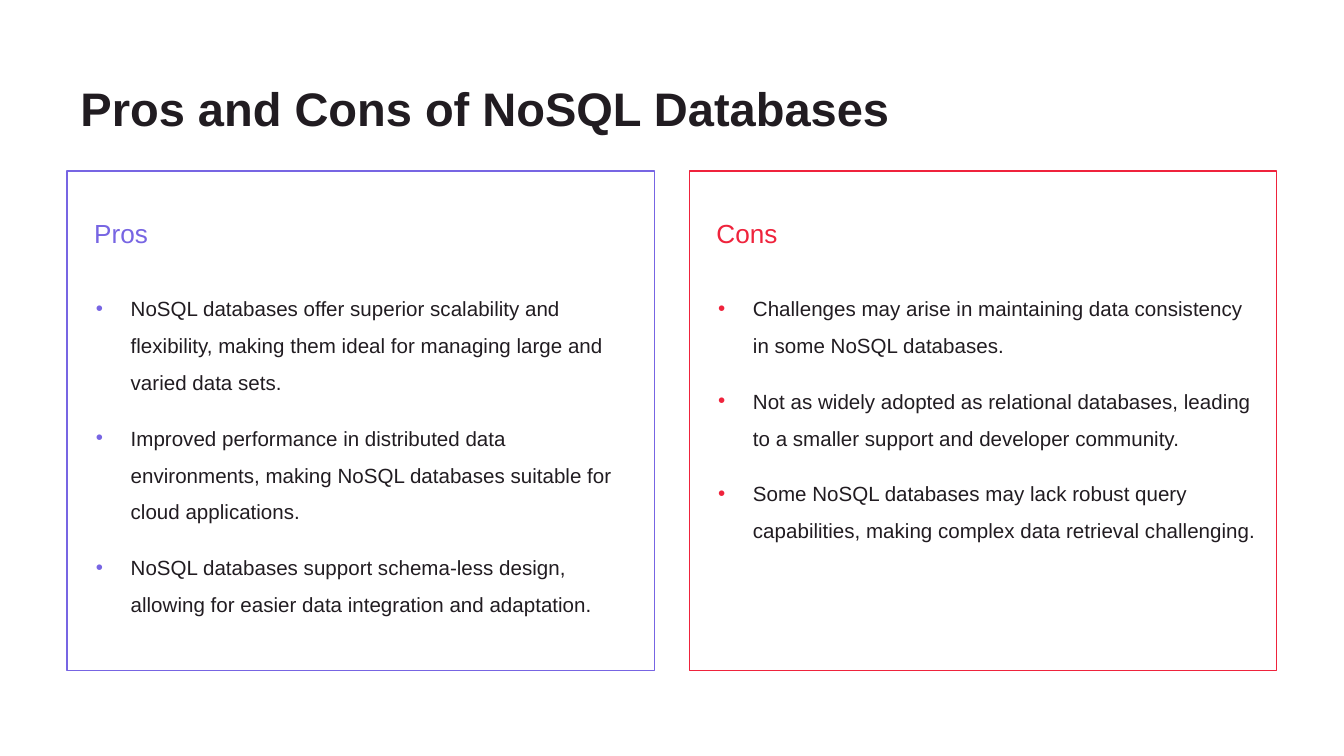
from lxml.etree import SubElement
from pptx import Presentation
from pptx.dml.color import RGBColor
from pptx.enum.shapes import MSO_SHAPE as Shape
from pptx.enum.text import MSO_ANCHOR as Anchor, MSO_AUTO_SIZE as AutoSize, PP_ALIGN as Align
from pptx.oxml.ns import qn
from pptx.util import Cm, Pt

PURPLE = RGBColor(0x77, 0x65, 0xE3)
RED = RGBColor(0xEF, 0x23, 0x3C)
INK = RGBColor(0x21, 0x1C, 0x21)

FONT = "Arial"
MARGIN = 1.27
PANEL_WIDTH = 11.1
PANEL_STEP = 11.76
PANEL_TOP = 3.23
PANEL_HEIGHT = 9.45
COMPARISON_LAYOUT = 4

# Heading, accent colour and points of each panel
PANELS = [
    ("Pros", PURPLE, [
        "NoSQL databases offer superior scalability and flexibility, "
        "making them ideal for managing large and varied data sets.",
        "Improved performance in distributed data environments, "
        "making NoSQL databases suitable for cloud applications.",
        "NoSQL databases support schema-less design, "
        "allowing for easier data integration and adaptation.",
    ]),
    ("Cons", RED, [
        "Challenges may arise in maintaining data consistency in some NoSQL databases.",
        "Not as widely adopted as relational databases, "
        "leading to a smaller support and developer community.",
        "Some NoSQL databases may lack robust query capabilities, "
        "making complex data retrieval challenging.",
    ]),
]


def set_attributes(target, values):
    for name, value in values.items():
        setattr(target, name, value)


def place(shape, left, top, width, height):
    set_attributes(shape, {"left": Cm(left), "top": Cm(top),
                           "width": Cm(width), "height": Cm(height)})


def format_frame(frame, anchor, left=0.25, right=0.25):
    set_attributes(frame, {
        "word_wrap": True, "auto_size": AutoSize.NONE, "vertical_anchor": anchor,
        "margin_left": Cm(left), "margin_right": Cm(right),
        "margin_top": Cm(0.25), "margin_bottom": Cm(0.25),
    })


def write_paragraph(paragraph, text, size, color, bold=False, before=0, after=0, spacing=1.0):
    set_attributes(paragraph, {
        "alignment": Align.LEFT, "line_spacing": spacing,
        "space_before": Pt(before), "space_after": Pt(after),
    })
    run = paragraph.add_run()
    run.text = text
    set_attributes(run.font, {"name": FONT, "size": Pt(size), "bold": bold})
    run.font.color.rgb = color


def add_bullet(paragraph, color):
    properties = paragraph._p.get_or_add_pPr()
    properties.set("marL", str(Cm(0.95)))
    properties.set("indent", str(Cm(-0.66)))
    bullet_color = SubElement(properties, qn("a:buClr"))
    SubElement(bullet_color, qn("a:srgbClr"), val=str(color))
    SubElement(properties, qn("a:buFont"), typeface=FONT)
    SubElement(properties, qn("a:buChar"), char="•")


def add_border(slide, left, color):
    border = slide.shapes.add_shape(Shape.RECTANGLE, Cm(left), Cm(PANEL_TOP),
                                    Cm(PANEL_WIDTH), Cm(PANEL_HEIGHT))
    border.shadow.inherit = False
    border.fill.background()
    border.line.color.rgb = color
    border.line.width = Pt(0.75)


def fill_title(shape, text):
    place(shape, MARGIN, 1.24, 22.86, 1.6)
    format_frame(shape.text_frame, Anchor.MIDDLE)
    write_paragraph(shape.text_frame.paragraphs[0], text, 25.2, INK, bold=True)


def fill_heading(shape, left, text, color):
    place(shape, left, PANEL_TOP, PANEL_WIDTH, 1.73)
    format_frame(shape.text_frame, Anchor.BOTTOM, left=0.51, right=0.38)
    write_paragraph(shape.text_frame.paragraphs[0], text, 14, color, after=12)


def fill_list(shape, left, points, color):
    place(shape, left, 5.11, PANEL_WIDTH, 7.59)
    frame = shape.text_frame
    format_frame(frame, Anchor.TOP)
    for index, point in enumerate(points):
        paragraph = frame.add_paragraph() if index else frame.paragraphs[0]
        write_paragraph(paragraph, point, 11, INK, spacing=1.5,
                        before=10 if index else 0,
                        after=10 if index == len(points) - 1 else 0)
        add_bullet(paragraph, color)


def main():
    presentation = Presentation()
    set_attributes(presentation, {"slide_width": Cm(25.4), "slide_height": Cm(14.29)})
    slide = presentation.slides.add_slide(presentation.slide_layouts[COMPARISON_LAYOUT])
    title, *panel_placeholders = slide.placeholders
    fill_title(title, "Pros and Cons of NoSQL Databases")

    # Two bordered panels side by side, each with a heading and a list
    for index, (heading, color, points) in enumerate(PANELS):
        left = MARGIN + index * PANEL_STEP
        heading_shape, list_shape = panel_placeholders[2 * index:2 * index + 2]
        add_border(slide, left, color)
        fill_heading(heading_shape, left, heading, color)
        fill_list(list_shape, left, points, color)

    presentation.save("out.pptx")


if __name__ == "__main__":
    main()
